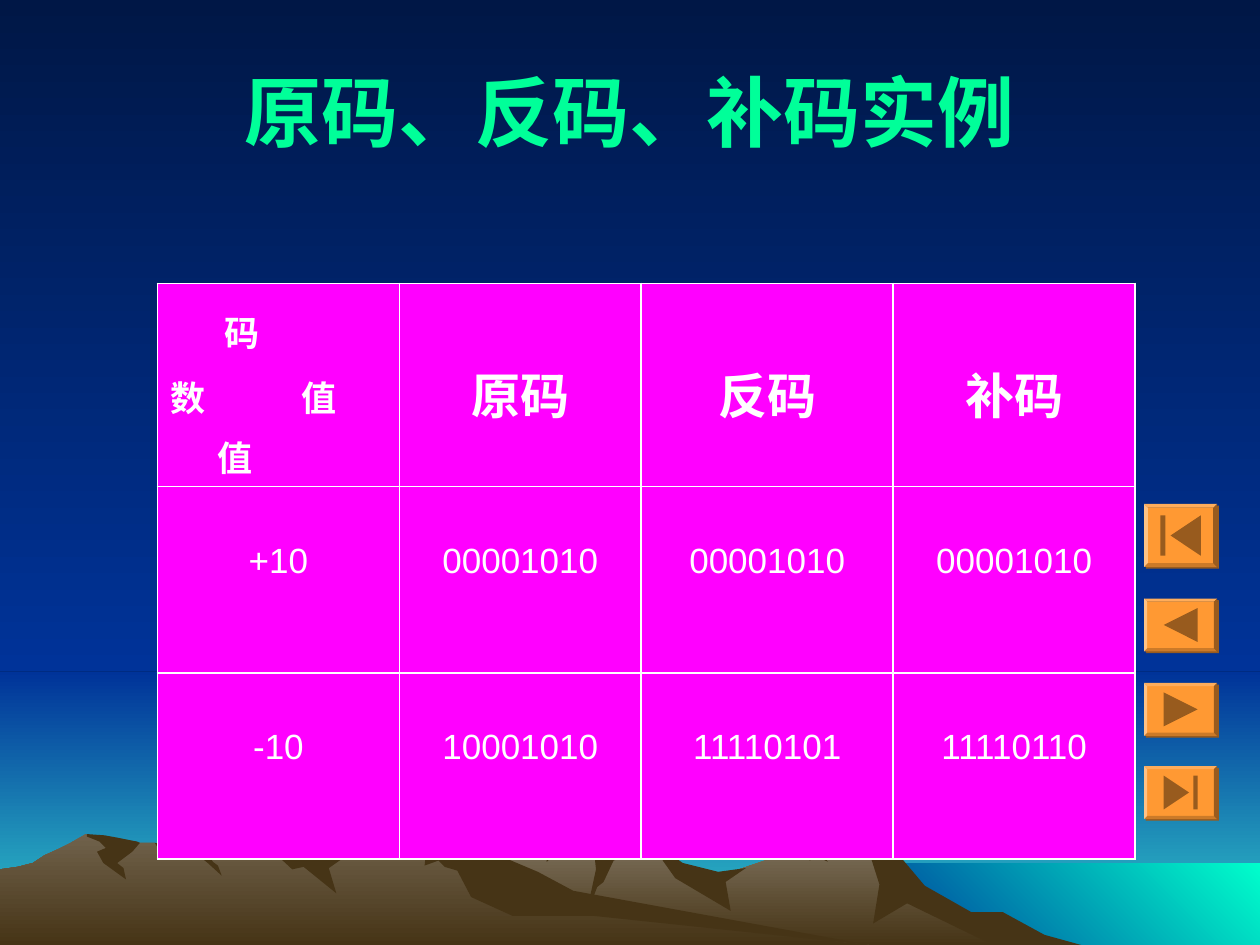
from lxml import etree
from pptx import Presentation
from pptx.dml.color import RGBColor
from pptx.enum.shapes import MSO_SHAPE
from pptx.enum.text import MSO_ANCHOR, PP_ALIGN
from pptx.oxml import parse_xml
from pptx.oxml.ns import nsdecls, qn
from pptx.util import Inches, Pt

RECT, BEVEL = MSO_SHAPE.RECTANGLE, MSO_SHAPE.BEVEL
CENTER, LEFT = PP_ALIGN.CENTER, PP_ALIGN.LEFT
MIDDLE = MSO_ANCHOR.MIDDLE

COLORS = {
    "night": "001746", "blue": "003399", "horizon": "33CCCC", "sea": "00FFCC",
    "shade": "463416", "far_rock": "837763", "near_rock": "72644E",
    "title": "00FF99", "cell": "FF00FF", "white": "FFFFFF",
    "button": "FF9933", "button_dark": "985B1E",
}
DOWN, DOWN_LEFT = 270, 225  # gradient directions, counter-clockwise degrees

FAR_RIDGE = [
    (8.02, 7.4), (7.78, 7.27), (7.64, 7.23), (7.23, 6.98), (7.02, 6.71), (6.85, 6.6),
    (6.76, 6.67), (6.56, 6.71), (6.29, 6.71), (6.13, 6.81), (5.66, 6.97), (5.36, 6.9),
    (5.29, 6.76), (5.26, 6.73), (5.09, 6.69), (4.86, 6.73), (4.71, 6.58), (4.65, 6.58),
    (4.5, 6.64), (4.38, 6.71), (4.24, 6.72), (4.05, 6.81), (3.94, 6.85), (3.55, 6.98),
    (3.27, 7.09), (2.77, 7.39), (2.58, 7.5), (8.2, 7.5)]
NEAR_RIDGE = [
    (6.9, 7.5), (6.67, 7.48), (4.32, 7.12), (3.54, 6.65), (3.31, 6.63), (3.27, 6.68),
    (3.23, 6.68), (3.18, 6.64), (2.96, 6.76), (2.79, 6.81), (2.71, 6.82), (2.6, 6.76),
    (2.36, 6.81), (2.23, 6.63), (2.12, 6.58), (1.96, 6.58), (1.89, 6.62), (1.78, 6.66),
    (1.6, 6.71), (1.48, 6.67), (1.43, 6.67), (1.32, 6.71), (1.23, 6.69), (1.11, 6.69),
    (0.94, 6.71), (0.68, 6.62), (0.56, 6.69), (0.46, 6.74), (0.35, 6.79), (0.26, 6.85),
    (0.14, 6.88), (0, 6.9), (0, 7.5)]
FAR_SHADES = [
    [(7.96, 7.24), (7.71, 7.24), (7.34, 7.03), (7.07, 6.71), (6.85, 6.6), (6.89, 6.64),
     (6.85, 6.71), (6.91, 6.8), (6.98, 7.02), (6.93, 7.33), (7.2, 7.17), (7.88, 7.5),
     (8.58, 7.5), (8.29, 7.42)],
    [(4.71, 6.58), (4.74, 6.62), (4.69, 6.64), (4.68, 6.71), (4.72, 6.8), (4.73, 6.9),
     (4.65, 7.27), (4.74, 7.04), (4.79, 7), (4.87, 6.83), (4.9, 6.82), (4.9, 6.76),
     (4.97, 6.71), (4.93, 6.7)],
    [(5.29, 6.76), (5.26, 6.83), (5.36, 6.97), (5.8, 7.23), (5.76, 7), (5.92, 6.89),
     (5.7, 6.92), (5.42, 6.85)],
    [(6.5, 6.71), (6.3, 6.71), (6.3, 6.76), (6.43, 6.83), (6.47, 6.79), (6.57, 6.84),
     (6.52, 6.76), (6.56, 6.71)],
    [(4.33, 6.77), (4.32, 6.71), (4.39, 6.7), (4.37, 6.73), (4.39, 6.79), (4.34, 6.84)],
]
NEAR_SHADES = [
    [(2.12, 6.63), (2.08, 6.69), (2.19, 6.78), (2.32, 6.9), (2.41, 6.88), (2.67, 7.09),
     (2.61, 6.89), (2.71, 6.82), (2.6, 6.74), (2.45, 6.68), (2.32, 6.63), (2.13, 6.59)],
    [(3.7, 6.68), (3.54, 6.65), (3.44, 6.65), (3.39, 6.69), (3.37, 6.87), (3.48, 6.83),
     (3.53, 6.88), (3.63, 6.91), (3.74, 7.12), (4.07, 7.27), (4.72, 7.27), (6.9, 7.5),
     (4.55, 7.07), (4.27, 6.92), (4.01, 6.81)],
    [(3.18, 6.67), (3.2, 6.66), (3.18, 6.64), (3.27, 6.67), (3.3, 6.74), (3.22, 6.69),
     (3.19, 6.72)],
    [(1.54, 6.67), (1.68, 6.69), (1.65, 6.78), (1.69, 6.84), (1.73, 6.87), (1.76, 6.95),
     (1.65, 6.85), (1.54, 6.76), (1.48, 6.67)],
    [(1.33, 6.7), (1.3, 6.75), (1.32, 6.8), (1.26, 6.74), (1.23, 6.69)],
    [(1.09, 6.68), (1.11, 6.69), (1.05, 6.76), (0.93, 6.85), (0.98, 6.89), (1, 6.98),
     (0.82, 6.85), (0.77, 6.76), (0.84, 6.73), (0.79, 6.68), (0.69, 6.64), (0.69, 6.62),
     (0.83, 6.63), (0.94, 6.65)],
]

# Icon outlines in units of half the icon size, measured from the button centre
FIRST = [[(-0.5, 0), (1, -1), (1, 1)], [(-1, -1), (-0.75, -1), (-0.75, 1), (-1, 1)]]
PREVIOUS = [[(-1, 0), (1, -1), (1, 1)]]
NEXT, LAST = ([[(-x, y) for x, y in outline] for outline in icon]
              for icon in (PREVIOUS, FIRST))
BUTTONS = [(4, 0.5, FIRST), (4.75, 0.42, PREVIOUS), (5.42, 0.42, NEXT), (6.08, 0.42, LAST)]

HEADERS = ["原码", "反码", "补码"]
ROWS = [["+10", "00001010", "00001010", "00001010"],
        ["-10", "10001010", "11110101", "11110110"]]
# Corner lines: text, left indent in inches, space before in points
CORNER = [("码", 0.43, 0), ("数\t值", 0, 8), ("值", 0.38, 5)]


def rgb(name):
    return RGBColor.from_string(COLORS[name])


def set_fill(fill, colors, angle=DOWN):
    """Fill with one colour name, or with a gradient between two."""
    if isinstance(colors, str):
        fill.solid()
        fill.fore_color.rgb = rgb(colors)
        return
    fill.gradient()
    fill.gradient_angle = angle
    for stop, name in zip(fill.gradient_stops, colors):
        stop.color.rgb = rgb(name)


def finish(sp, colors, angle=DOWN):
    sp.shadow.inherit = False
    sp.line.fill.background()
    set_fill(sp.fill, colors, angle)
    return sp


def add_preset(s, kind, box, colors, angle=DOWN):
    return finish(s.shapes.add_shape(kind, *map(Inches, box)), colors, angle)


def add_outline(s, contours, colors):
    contours = [[(Inches(x), Inches(y)) for x, y in c] for c in contours]
    builder = s.shapes.build_freeform(*contours[0][0], scale=1.0)
    for i, points in enumerate(contours):
        if i:
            builder.move_to(*points[0])
        builder.add_line_segments(points[1:], close=True)
    return finish(builder.convert_to_shape(), colors)


def add_landscape(s):
    add_preset(s, RECT, (0, 5.33, 10, 2.17), ("blue", "horizon"))
    add_preset(s, RECT, (0, 0, 10, 5.33), ("night", "blue"))
    add_preset(s, RECT, (6.83, 6.85, 3.17, 0.65), ("sea", "blue"), DOWN_LEFT)
    for ridge, rock, shades in ((FAR_RIDGE, "far_rock", FAR_SHADES),
                                (NEAR_RIDGE, "near_rock", NEAR_SHADES)):
        add_outline(s, [ridge], (rock, "shade"))
        for points in shades:
            add_outline(s, [points], "shade")


def write(p, text, color="white", size=20, bold=False, align=CENTER, before=0):
    p.alignment = align
    p.space_before = Pt(before)
    r = p.add_run()
    r.text = text
    for name, value in {"name": "Arial", "size": Pt(size), "bold": bold}.items():
        setattr(r.font, name, value)
    r.font.color.rgb = rgb(color)


def add_title(s, text):
    tf = s.shapes.add_textbox(*map(Inches, (0.5, 0.25, 9, 1.25))).text_frame
    tf.word_wrap = True
    tf.vertical_anchor = MIDDLE
    write(tf.paragraphs[0], text, "title", 44, True)


def add_button(s, top, height, icon):
    left, width = 9.08, 0.58
    sp = add_preset(s, BEVEL, (left, top, width, height), "button")
    sp.adjustments[0] = 0.06
    effects = sp._element.spPr.find(qn("a:effectLst"))
    effects.append(parse_xml(
        f'<a:outerShdw {nsdecls("a")} dist="{Pt(1.4)}" dir="2700000" algn="ctr" '
        f'rotWithShape="0"><a:srgbClr val="{COLORS["button_dark"]}"/></a:outerShdw>'))
    cx, cy, half = left + width / 2, top + height / 2, 0.32 * height
    add_outline(s, [[(cx + half * x, cy + half * y) for x, y in outline]
                    for outline in icon], "button_dark")


def style_cell(cell, top):
    """Set the cell's fill, top margin in inches and white borders."""
    cell.margin_top, cell.margin_bottom = Inches(top), Inches(0.02)
    tcPr = cell._tc.get_or_add_tcPr()
    for side in ("lnL", "lnR", "lnT", "lnB"):
        ln = etree.SubElement(tcPr, qn(f"a:{side}"), w=str(Pt(1.08)))
        fill = etree.SubElement(ln, qn("a:solidFill"))
        etree.SubElement(fill, qn("a:srgbClr"), val=COLORS["white"])
    set_fill(cell.fill, "cell")


def write_corner(cell):
    style_cell(cell, 0.18)
    tf = cell.text_frame
    for i, (text, indent, before) in enumerate(CORNER):
        p = tf.add_paragraph() if i else tf.paragraphs[0]
        write(p, text, bold=True, align=LEFT, before=before)
        pPr = p._p.get_or_add_pPr()
        pPr.set("marL", str(Inches(indent)))
        if "\t" in text:
            tabs = etree.SubElement(pPr, qn("a:tabLst"))
            etree.SubElement(tabs, qn("a:tab"), pos=str(Inches(1.04)), algn="l")


def add_code_table(s):
    table = s.shapes.add_table(3, 4, *map(Inches, (1.25, 2.25, 7.76, 4.57))).table
    for column, width in zip(table.columns, (1.92, 1.92, 2, 1.92)):
        column.width = Inches(width)
    for row, height in zip(table.rows, (1.61, 1.48, 1.48)):
        row.height = Inches(height)
    write_corner(table.cell(0, 0))
    for j, text in enumerate(HEADERS, 1):
        style_cell(table.cell(0, j), 0.59)
        write(table.cell(0, j).text_frame.paragraphs[0], text, size=28, bold=True)
    for i, values in enumerate(ROWS, 1):
        for j, text in enumerate(values):
            style_cell(table.cell(i, j), 0.44)
            write(table.cell(i, j).text_frame.paragraphs[0], text)


def main():
    prs = Presentation()
    prs.slide_width, prs.slide_height = Inches(10), Inches(7.5)
    s = prs.slides.add_slide(prs.slide_layouts[6])
    set_fill(s.background.fill, ("night", "blue"))
    add_landscape(s)
    add_title(s, "原码、反码、补码实例")
    for button in BUTTONS:
        add_button(s, *button)
    add_code_table(s)
    prs.save("out.pptx")


if __name__ == "__main__":
    main()
